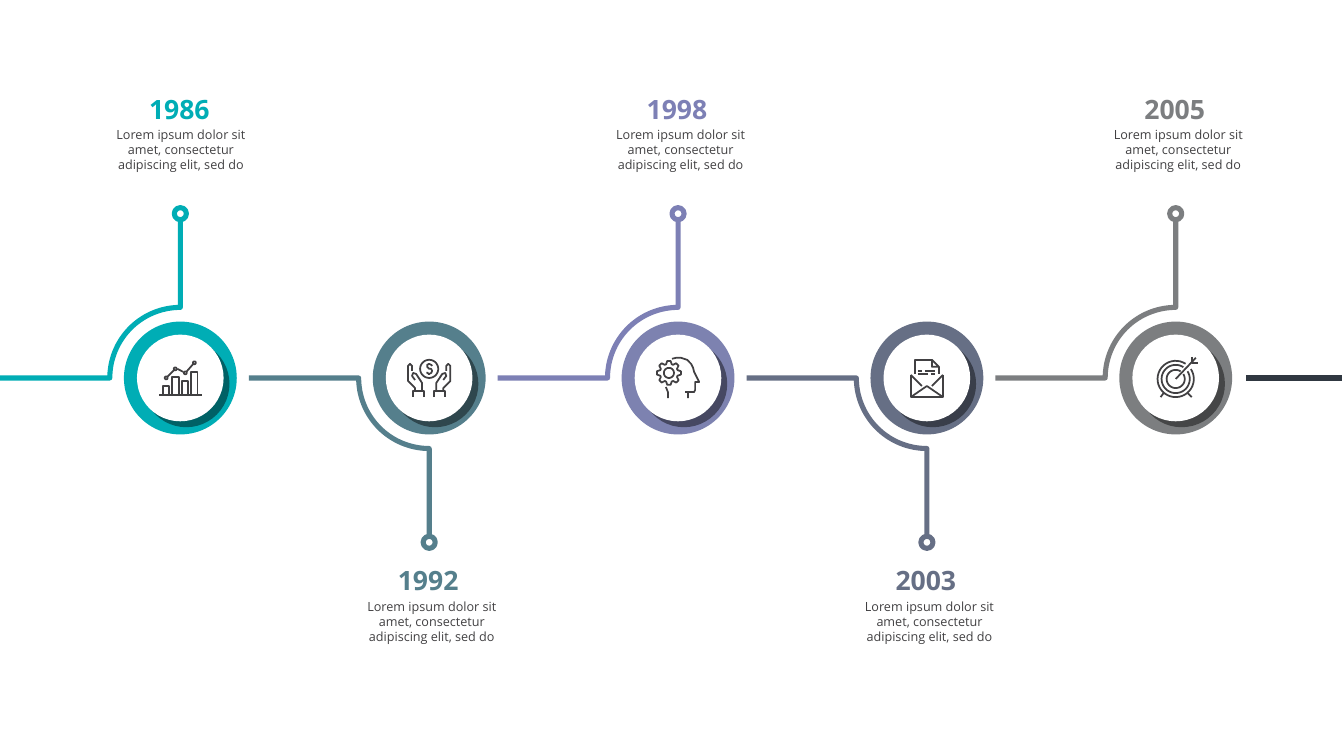
from math import cos, radians, sin

from lxml import etree
from pptx import Presentation
from pptx.dml.color import RGBColor
from pptx.enum.shapes import MSO_CONNECTOR, MSO_SHAPE
from pptx.enum.text import MSO_AUTO_SIZE, PP_ALIGN
from pptx.oxml import parse_xml
from pptx.oxml.ns import nsdecls, qn
from pptx.util import Pt

PX = 9144
STRAIGHT = MSO_CONNECTOR.STRAIGHT
ELLIPSE = MSO_SHAPE.OVAL
CENTER = PP_ALIGN.CENTER
GROW = MSO_AUTO_SIZE.SHAPE_TO_FIT_TEXT

FONT = "Open Sans"
COLORS = {
    "teal": "00ADB5",
    "petrol": "557F8C",
    "violet": "7D80B5",
    "violet_ring": "7D82B0",
    "slate": "666F85",
    "gray": "7C7E80",
    "navy": "303841",
    "ink": "414042",
    "white": "FFFFFF",
}
TRACK = 3.63
ICON_STROKE = 1.25
AXIS_Y = 375
FIRST_X = 179
STEP = 247
BODY = "Lorem ipsum dolor sit amet, consectetur adipiscing elit, sed do"


def arc(x, y, radius, start=0, end=360, steps=36):
    angles = [radians(start + (end - start) * i / steps) for i in range(steps + 1)]
    return [(x + radius * cos(a), y + radius * sin(a)) for a in angles]


def mirror(stroke):
    return [(-x, y) for x, y in stroke]


def chart_icon():
    bars = [(-17, -11, 8), (-8, -1, -1), (2, 8, 3), (11, 17, -6)]
    dots = [(-14, 0), (-5, -9), (5, -5), (14, -15)]
    return [
        [(-21, 17), (22, 17)],
        *[[(l, 17), (l, top), (r, top), (r, 17)] for l, r, top in bars],
        *[arc(x, y, 1.4) for x, y in dots],
        [(6, -6), (13, -14)], [(-3, -9), (3, -6)], [(-6, -8), (-13, -1)],
    ]


def hands_icon():
    hand = [(-14, 2), (-17, -2), (-16, -5), (-13, -4), (-7, 5), (-7, 13),
            (-14, 13), (-14, 10), (-21, 3), (-21, -12), (-19, -14),
            (-17, -12), (-17, -7)]
    cuff = [(-5, 19), (-5, 13), (-16, 13), (-16, 19)]
    dollar = [(3, -12), (2, -13), (0, -14), (-2, -13), (-2, -11), (0, -9),
              (2, -9), (3, -7), (2, -5), (0, -4), (-2, -5), (-2, -6)]
    return [hand, cuff, mirror(hand), mirror(cuff), arc(0, -9, 9), dollar,
            [(0, -14), (0, -15)], [(0, -4), (0, -3)]]


def head_icon():
    tooth = [(-18, 9), (-8, 12), (8, 12), (18, 9)]
    gear = [arc(-9, -5, radius, turn + offset, turn + offset, 1)[0]
            for turn in range(0, 360, 45) for offset, radius in tooth]
    face = [(-6, -19), (-2, -20), (3, -20), (9, -18), (13, -14), (15, -10),
            (16, -6), (21, 4), (17, 4), (17, 12), (16, 14), (14, 14),
            (10, 14), (10, 20)]
    return [face, [(-10, 20), (-10, 14), (-12, 9)], [(10, 14), (7, 14)],
            gear + gear[:1], arc(-9, -5, 5)]


def letter_icon():
    return [
        [(16, -3), (16, 19), (-16, 19), (-16, -3)],
        [(16, 19), (0, 8), (-16, 19)],
        [(16, -3), (5, 8)], [(-16, -3), (-5, 8)],
        [(5, -18), (-12, -18), (-12, -4)],
        [(12, -4), (12, -11), (5, -18), (5, -11), (12, -11)],
        [(-9, -7), (-5, -7)], [(-2, -7), (8, -7)],
        [(-9, -4), (1, -4)], [(4, -4), (8, -4)],
    ]


def target_icon():
    return [
        *[arc(0, 1, radius, -33, 303) for radius in (18, 14, 9)],
        [(0, 1), (20, -20)], [(16, -21), (16, -15), (22, -15)],
        [(-15, 19), (-12, 15)], [(12, 15), (16, 19)],
    ]


class Timeline:
    def __init__(self, width, height):
        self.presentation = Presentation()
        self.presentation.slide_width = width * PX
        self.presentation.slide_height = height * PX
        layout = self.presentation.slide_layouts[6]
        self.shapes = self.presentation.slides.add_slide(layout).shapes

    def color(self, name):
        return RGBColor.from_string(COLORS[name])

    def stroke(self, shape, color, width):
        shape.line.color.rgb = self.color(color)
        shape.line.width = Pt(width)

    def circle(self, x, y, diameter, fill=None, outline=None):
        left, top = (round((v - diameter / 2) * PX) for v in (x, y))
        shape = self.shapes.add_shape(ELLIPSE, left, top, diameter * PX, diameter * PX)
        shape.shadow.inherit = False
        if fill:
            shape.fill.solid()
            shape.fill.fore_color.rgb = self.color(fill)
        else:
            shape.fill.background()
        if outline:
            self.stroke(shape, outline, TRACK)
        else:
            shape.line.fill.background()
        return shape

    def drop_shadow(self, shape):
        effects = shape._element.spPr.find(qn("a:effectLst"))
        effects.append(parse_xml(
            f'<a:outerShdw {nsdecls("a")} dist="76200" dir="2700000" algn="tl" '
            'rotWithShape="0"><a:srgbClr val="000000"><a:alpha val="43000"/>'
            '</a:srgbClr></a:outerShdw>'))

    def drawing(self, x, y, strokes, color, width):
        strokes = [[((x + dx) * PX, (y + dy) * PX) for dx, dy in s] for s in strokes]
        builder = self.shapes.build_freeform(*strokes[0][0])
        for index, points in enumerate(strokes):
            if index:
                builder.move_to(*points[0])
            builder.add_line_segments(points[1:], close=False)
        shape = builder.convert_to_shape()
        shape.shadow.inherit = False
        shape.fill.background()
        self.stroke(shape, color, width)

    def line(self, start, end, y, color):
        connector = self.shapes.add_connector(STRAIGHT, start * PX, y * PX, end * PX, y * PX)
        self.stroke(connector, color, TRACK)
        etree.SubElement(connector._element.spPr, qn("a:effectLst"))

    def text(self, left, top, width, height, text, size, color, bold, wrap, margins):
        box = self.shapes.add_textbox(left * PX, top * PX, width * PX, height * PX)
        frame = box.text_frame
        frame.text = text
        frame.word_wrap = wrap
        frame.auto_size = GROW
        frame.margin_left = frame.margin_right = margins[0] * PX
        frame.margin_top = frame.margin_bottom = margins[1] * PX
        paragraph = frame.paragraphs[0]
        paragraph.alignment = CENTER
        font = paragraph.runs[0].font
        font.name, font.size, font.bold = FONT, Pt(size), bold
        font.color.rgb = self.color(color)

    def milestone(self, x, side, year, color, ring, icon, body_shift):
        track = [(-179, 0), *arc(0, 0, 70, 180, 180 - side * 90), (0, side * 157)]
        self.drawing(x, AXIS_Y, [track], color, TRACK)
        self.circle(x, AXIS_Y + side * 163, 12, outline=color)
        self.circle(x, AXIS_Y, 112, fill=ring)
        self.drop_shadow(self.circle(x, AXIS_Y, 86, fill="white"))
        self.drawing(x, AXIS_Y, icon, "ink", ICON_STROKE)
        year_top, body_top = (92, 121) if side < 0 else (559, 589)
        self.text(x - 36, year_top, 70, 32, year, 19, color, True, False, (0, 0))
        self.text(x - body_shift, body_top, 169, 55, BODY, 9, "ink", False, True, (10, 5))


def main():
    timeline = Timeline(1334, 750)
    milestones = [
        ("1986", "teal", "teal", chart_icon(), 84),
        ("1992", "petrol", "petrol", hands_icon(), 82),
        ("1998", "violet", "violet_ring", head_icon(), 82),
        ("2003", "slate", "slate", letter_icon(), 82),
        ("2005", "gray", "gray", target_icon(), 82),
    ]
    for index, details in enumerate(milestones):
        side = 1 if index % 2 else -1
        timeline.milestone(FIRST_X + index * STEP, side, *details)
    timeline.line(1237, 1332, AXIS_Y, "navy")
    timeline.presentation.save("out.pptx")


if __name__ == "__main__":
    main()
